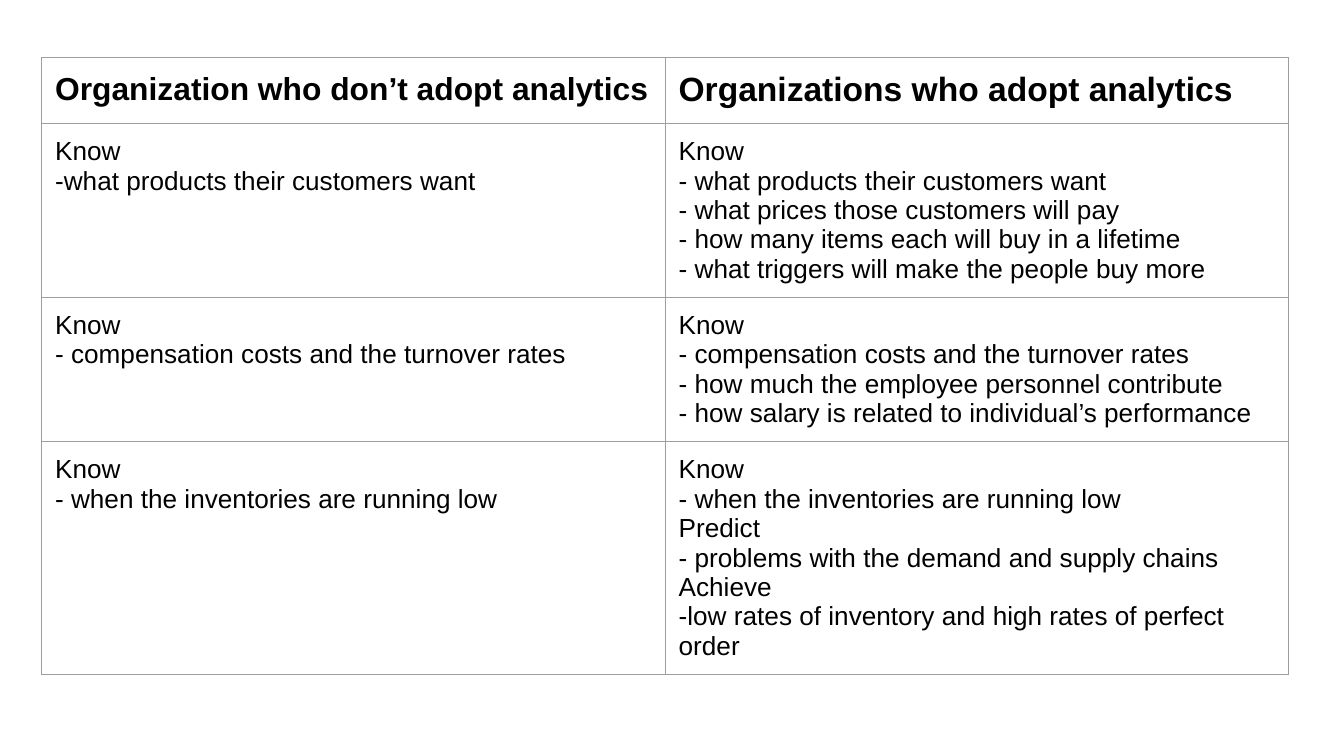
from dataclasses import dataclass

import pptx
import pptx.dml.color
import pptx.oxml
import pptx.oxml.ns
import pptx.table
import pptx.util
from pptx.util import Inches, Pt


@dataclass(frozen=True)
class Theme:
    font: str = "Arial"
    text_color: str = "000000"
    border_color: str = "9E9E9E"
    border_width: float = 0.75
    body_size: int = 14
    left_heading_size: int = 17
    right_heading_size: int = 18


@dataclass(frozen=True)
class ComparisonRow:
    without_analytics: list[str]
    with_analytics: list[str]


THEME = Theme()
SLIDE_WIDTH = Inches(10)
SLIDE_HEIGHT = SLIDE_WIDTH * 9 // 16
TABLE_LEFT, TABLE_TOP = 0.31, 0.43
COLUMN_WIDTH = 4.64
HEADING_HEIGHT = 0.49
BODY_HEIGHT = 0.42  # minimum: rows grow with their text
CELL_MARGIN = 0.1

ROWS = [
    ComparisonRow(
        ["Organization who don’t adopt analytics"],
        ["Organizations who adopt analytics"],
    ),
    ComparisonRow(
        ["Know", "-what products their customers want"],
        [
            "Know",
            "- what products their customers want",
            "- what prices those customers will pay",
            "- how many items each will buy in a lifetime",
            "- what triggers will make the people buy more",
        ],
    ),
    ComparisonRow(
        ["Know", "- compensation costs and the turnover rates"],
        [
            "Know",
            "- compensation costs and the turnover rates",
            "- how much the employee personnel contribute",
            "- how salary is related to individual’s performance",
        ],
    ),
    ComparisonRow(
        ["Know", "- when the inventories are running low"],
        [
            "Know",
            "- when the inventories are running low",
            "Predict",
            "- problems with the demand and supply chains",
            "Achieve",
            "-low rates of inventory and high rates of perfect order",
        ],
    ),
]


def add_borders(cell: pptx.table._Cell) -> None:
    """Line all four sides; call before setting the fill, which must follow the lines."""
    properties = cell._tc.get_or_add_tcPr()
    for side in ("lnL", "lnR", "lnT", "lnB"):
        properties.append(pptx.oxml.parse_xml(
            f'<a:{side} {pptx.oxml.ns.nsdecls("a")} w="{Pt(THEME.border_width)}">'
            f'<a:solidFill><a:srgbClr val="{THEME.border_color}"/></a:solidFill>'
            f'</a:{side}>'
        ))


def fill_cell(cell: pptx.table._Cell, lines: list[str], size: int, bold: bool) -> None:
    add_borders(cell)
    cell.fill.background()
    cell.margin_left = cell.margin_right = Inches(CELL_MARGIN)
    cell.margin_top = cell.margin_bottom = Inches(CELL_MARGIN)
    cell.text_frame.text = "\n".join(lines)
    for paragraph in cell.text_frame.paragraphs:
        for run in paragraph.runs:
            run.font.name = THEME.font
            run.font.size = Pt(size)
            run.font.bold = bold
            run.font.color.rgb = pptx.dml.color.RGBColor.from_string(THEME.text_color)


def main() -> None:
    presentation = pptx.Presentation()
    presentation.slide_width = SLIDE_WIDTH
    presentation.slide_height = SLIDE_HEIGHT
    slide = presentation.slides.add_slide(presentation.slide_layouts[6])

    table_height = HEADING_HEIGHT + BODY_HEIGHT * (len(ROWS) - 1)
    table = slide.shapes.add_table(
        len(ROWS), 2, Inches(TABLE_LEFT), Inches(TABLE_TOP),
        Inches(2 * COLUMN_WIDTH), Inches(table_height),
    ).table
    table.horz_banding = False
    for column in table.columns:
        column.width = Inches(COLUMN_WIDTH)

    heading_sizes = (THEME.left_heading_size, THEME.right_heading_size)
    for row_index, row in enumerate(ROWS):
        is_heading = row_index == 0
        table.rows[row_index].height = Inches(HEADING_HEIGHT if is_heading else BODY_HEIGHT)
        for column_index, lines in enumerate((row.without_analytics, row.with_analytics)):
            size = heading_sizes[column_index] if is_heading else THEME.body_size
            fill_cell(table.cell(row_index, column_index), lines, size, is_heading)

    presentation.save("out.pptx")


if __name__ == "__main__":
    main()
